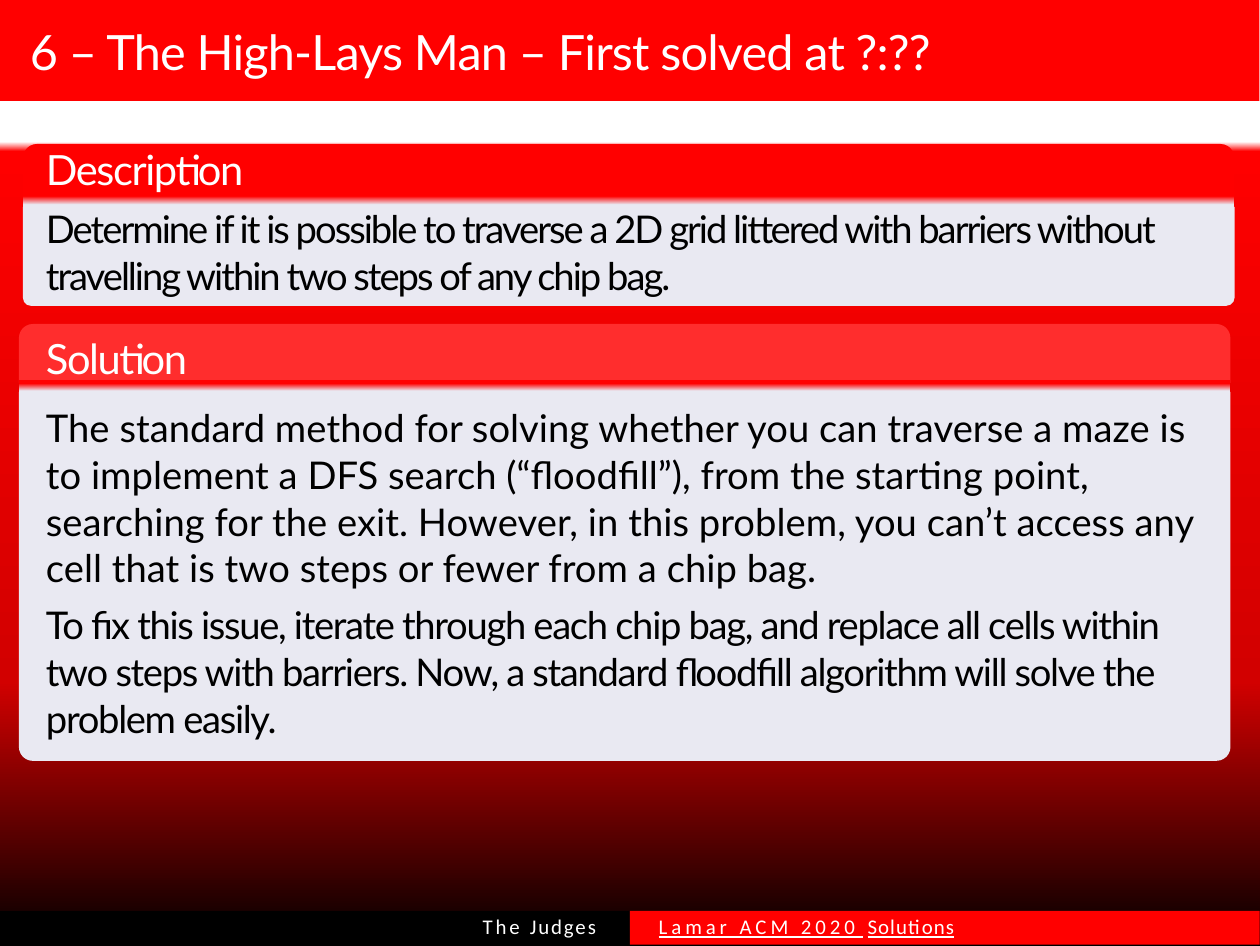
from lxml import etree
from pptx import Presentation
from pptx.dml.color import RGBColor
from pptx.enum.shapes import MSO_SHAPE
from pptx.enum.text import MSO_ANCHOR, MSO_AUTO_SIZE, PP_ALIGN
from pptx.oxml.ns import qn
from pptx.util import Pt

RECT = MSO_SHAPE.RECTANGLE
ROUND_TOP = MSO_SHAPE.ROUND_2_SAME_RECTANGLE
TOP, LEFT, NO_FIT = MSO_ANCHOR.TOP, PP_ALIGN.LEFT, MSO_AUTO_SIZE.NONE

PX = 914400 / 250
SLIDE_SIZE = Pt(363), Pt(272.5)
PANEL_WIDTH, CORNER = 1212, 14

COLORS = {"red": "FF0000", "light_red": "FF2D2D", "dark_red": "D20000",
          "black": "000000", "white": "FFFFFF", "panel": "E9E9F2"}

BACKDROP = [(15, "white"), (16, "red"), (72, "dark_red"), (100, "black")]
FADE = [(25, "panel"), (75, "red")]

PANELS = [
    {"left": 23, "color": "red", "foot": 8,
     "head": (144, 54), "fade": (192, 17), "body": (207, 99)},
    {"left": 19, "color": "light_red", "foot": 14,
     "head": (324, 59), "fade": (380, 15), "body": (392, 369)},
]
BARS = [
    (0, 0, 1260, 101, "red"),
    (0, 911, 630, 34, "black"),
    (630, 911, 630, 34, "red"),
]

HEADING = {"size": 12, "font": "Lato", "color": "white", "spacing": -0.4}
BODY = {"size": 11, "font": "Lato", "color": "black"}
FOOTER = {"size": 6, "font": "Calibri", "color": "white"}

TITLE = [(0, 1, [("6 – The High-Lays Man – First solved at ?:??",
                  {**HEADING, "size": 14, "spacing": -0.25})])]
EXPLANATION = [
    (0, 1, [("Description", HEADING)]),
    (3, 1.02, [("Determine if it is possible to traverse a 2D grid littered with barriers "
                "without travelling within two steps of any chip bag.",
                {**BODY, "spacing": -0.6})]),
    (10, 1, [("Solution", HEADING)]),
    (6, 1.02, [("The standard method for solving whether you can traverse a maze is to "
                "implement a DFS search (“floodfill”), from the starting point, searching "
                "for the exit. However, in this problem, you can’t access any cell that is "
                "two steps or fewer from a chip bag.", {**BODY, "spacing": 0})]),
    (3, 1.02, [("To fix this issue, iterate through each chip bag, and replace all cells "
                "within two steps with barriers. Now, a standard floodfill algorithm will "
                "solve the problem easily.", {**BODY, "spacing": -0.4})]),
]
FOOTERS = [
    ((480, 911, 125, 32), [("The ", {**FOOTER, "spacing": 0.8}),
                           ("Judges", {**FOOTER, "spacing": 0.55})]),
    ((656, 911, 308, 28), [("Lamar ACM 2020 ", {**FOOTER, "spacing": 1.13, "underline": True}),
                           ("Solutions", {**FOOTER, "spacing": 0.3, "underline": True})]),
]


def px(value):
    return round(value * PX)


def rgb(name):
    return RGBColor.from_string(COLORS[name])


def paint_gradient(fill, element, stops, angle):
    fill.gradient()
    fill.gradient_angle = angle
    stop_list = element.find(".//" + qn("a:gsLst"))
    for stop in list(stop_list):
        stop_list.remove(stop)
    for percent, color in stops:
        stop = etree.SubElement(stop_list, qn("a:gs"), pos=str(percent * 1000))
        etree.SubElement(stop, qn("a:srgbClr"), val=COLORS[color])


def add_block(slide, kind, left, top, width, height, color=None):
    block = slide.shapes.add_shape(kind, px(left), px(top), px(width), px(height))
    block.shadow.inherit = False
    block.line.fill.background()
    if color:
        block.fill.solid()
        block.fill.fore_color.rgb = rgb(color)
    else:
        paint_gradient(block.fill, block.element, FADE, 90)
    return block


def add_panel(slide, left, color, foot, head, fade, body):
    header = add_block(slide, ROUND_TOP, left, head[0], PANEL_WIDTH, head[1], color)
    header.adjustments[0] = CORNER / head[1]
    content = add_block(slide, ROUND_TOP, left, body[0], PANEL_WIDTH, body[1], "panel")
    content.adjustments[0] = 0
    content.adjustments[1] = foot / body[1]
    add_block(slide, RECT, left, fade[0], PANEL_WIDTH, fade[1])


def write(holder, box, inset, paragraphs, right=0):
    holder.left, holder.top, holder.width, holder.height = map(px, box)
    frame = holder.text_frame
    frame.word_wrap = True
    frame.auto_size = NO_FIT
    frame.vertical_anchor = TOP
    frame.margin_left, frame.margin_top = px(3), px(inset)
    frame.margin_right, frame.margin_bottom = px(right), 0
    for index, (before, line_spacing, runs) in enumerate(paragraphs):
        paragraph = frame.add_paragraph() if index else frame.paragraphs[0]
        paragraph.alignment = LEFT
        paragraph.space_before = Pt(before)
        paragraph.line_spacing = line_spacing
        properties = paragraph._p.get_or_add_pPr()
        properties.set("marL", "0")
        properties.set("indent", "0")
        etree.SubElement(properties, qn("a:buNone"))
        for text, style in runs:
            run = paragraph.add_run()
            run.text = text
            run.font.size = Pt(style["size"])
            run.font.name = style["font"]
            run.font.color.rgb = rgb(style["color"])
            run.font.underline = style.get("underline")
            run._r.get_or_add_rPr().set("spc", str(round(style["spacing"] * 100)))


def main():
    deck = Presentation()
    deck.slide_width, deck.slide_height = SLIDE_SIZE
    slide = deck.slides.add_slide(deck.slide_layouts[1])
    paint_gradient(slide.background.fill, slide.element, BACKDROP, 270)

    for panel in PANELS:
        add_panel(slide, **panel)
    for left, top, width, height, color in BARS:
        add_block(slide, RECT, left, top, width, height, color)

    title, explanation = slide.placeholders
    for holder in (title, explanation):
        slide.shapes.element.append(holder.element)
    write(title, (27, 18, 1210, 63), 4, TITLE)
    write(explanation, (43, 128, 1193, 625), 16, EXPLANATION, right=26)
    for box, runs in FOOTERS:
        footer = slide.shapes.add_textbox(0, 0, 0, 0)
        write(footer, box, 3, [(0, 1, runs)])

    deck.save("out.pptx")


if __name__ == "__main__":
    main()
